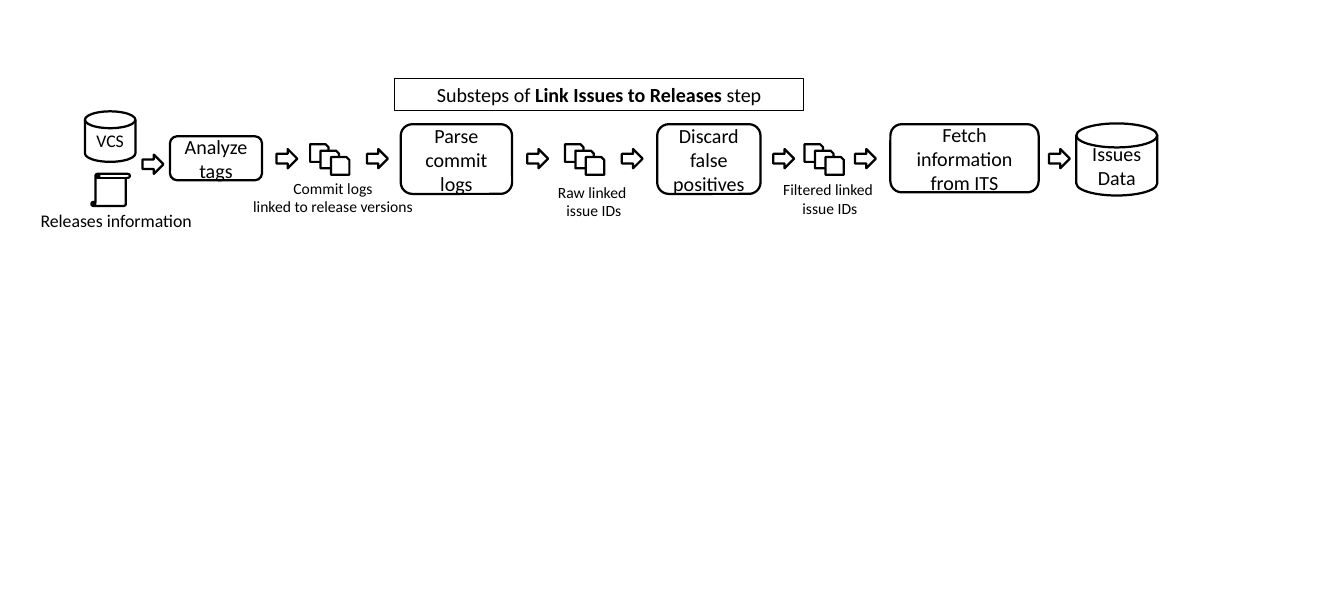
from pptx import Presentation
from pptx.dml.color import RGBColor
from pptx.enum.shapes import MSO_SHAPE as Kind
from pptx.enum.text import MSO_ANCHOR as Anchor, MSO_AUTO_SIZE as Fit, PP_ALIGN as Align
from pptx.util import Inches, Pt

WIDTH, HEIGHT = 16.77, 7.5
INK, PAPER, FONT = "000000", "FFFFFF", "Calibri"
AXIS = 1.98
ARROW_W, ARROW_H = 0.24, 0.26
PAGE_W, PAGE_H = 0.23, 0.22
PAGE_STEP_X, PAGE_STEP_Y = 0.13, 0.08

STEPS = [
    ("Analyze tags", 2.12, 1.7, 1.15, 0.55),
    ("Parse commit logs", 5, 1.55, 1.39, 0.87),
    ("Discard false positives", 8.2, 1.55, 1.29, 0.87),
    ("Fetch information from ITS", 11.11, 1.55, 1.85, 0.85),
]
STORES = [
    (["VCS"], 16, 1.06, 1.39, 0.63, 0.63),
    (["Issues", "Data"], 18, 13.43, 1.54, 1.01, 0.9),
]
ARROWS = [(1.79, AXIS + 0.07)] + [
    (left, AXIS) for left in (3.46, 4.59, 6.59, 7.77, 9.66, 10.68, 13.1)
]
PAGE_STACKS = [3.87, 7.05, 10.04]
CAPTIONS = [
    (["Releases information"], 16, 0.26, 2.57, 2.38, 0.37),
    (["Commit logs", "linked to release versions"], 14, 2.7, 2.18, 2.91, 0.57),
    (["Raw linked ", "issue IDs"], 14, 6.42, 2.23, 1.98, 0.57),
    (["Filtered linked ", "issue IDs"], 14, 9.1, 2.2, 2.51, 0.57),
]
HEADING = [("Substeps of ", False), ("Link Issues to Releases ", True), ("step", False)]


def color(code):
    return RGBColor.from_string(code)


def write(frame, paragraphs, size, anchor=Anchor.MIDDLE):
    """Fill a frame with centred paragraphs, each a list of (text, bold) runs."""
    frame.word_wrap = True
    frame.vertical_anchor = anchor
    for index, pieces in enumerate(paragraphs):
        paragraph = frame.add_paragraph() if index else frame.paragraphs[0]
        paragraph.alignment = Align.CENTER
        for text, bold in pieces:
            run = paragraph.add_run()
            run.text = text
            run.font.name, run.font.size, run.font.bold = FONT, Pt(size), bold
            run.font.color.rgb = color(INK)


def plain(lines):
    return [[(line, False)] for line in lines]


def draw(kind, left, top, width, height, fill=PAPER, weight=2):
    shape = slide.shapes.add_shape(kind, *map(Inches, (left, top, width, height)))
    shape.shadow.inherit = False
    if fill:
        shape.fill.solid()
        shape.fill.fore_color.rgb = color(fill)
    else:
        shape.fill.background()
    shape.line.color.rgb = color(INK)
    shape.line.width = Pt(weight)
    return shape


deck = Presentation()
deck.slide_width, deck.slide_height = Inches(WIDTH), Inches(HEIGHT)
slide = deck.slides.add_slide(deck.slide_layouts[6])

for label, *box in STEPS:
    write(draw(Kind.ROUNDED_RECTANGLE, *box).text_frame, plain([label]), 18)

for lines, size, *box in STORES:
    write(draw(Kind.FLOWCHART_MAGNETIC_DISK, *box).text_frame, plain(lines), size)

draw(Kind.VERTICAL_SCROLL, 1.14, 2.17, 0.48, 0.4, fill=None)

for left, middle in ARROWS:
    draw(Kind.DOWN_ARROW, left, middle - ARROW_H / 2, ARROW_W, ARROW_H).rotation = 270

for left in PAGE_STACKS:
    for page in range(3):
        draw(Kind.SNIP_1_RECTANGLE, left + page * PAGE_STEP_X,
             AXIS - 0.18 + page * PAGE_STEP_Y, PAGE_W, PAGE_H)

for lines, size, *box in CAPTIONS:
    caption = slide.shapes.add_textbox(*map(Inches, box)).text_frame
    write(caption, plain(lines), size, Anchor.TOP)
    caption.auto_size = Fit.SHAPE_TO_FIT_TEXT

heading = draw(Kind.RECTANGLE, 4.92, 0.98, 5.11, 0.4, fill=None, weight=0.75).text_frame
write(heading, [HEADING], 18, Anchor.TOP)
heading.auto_size = Fit.SHAPE_TO_FIT_TEXT

deck.save("out.pptx")
